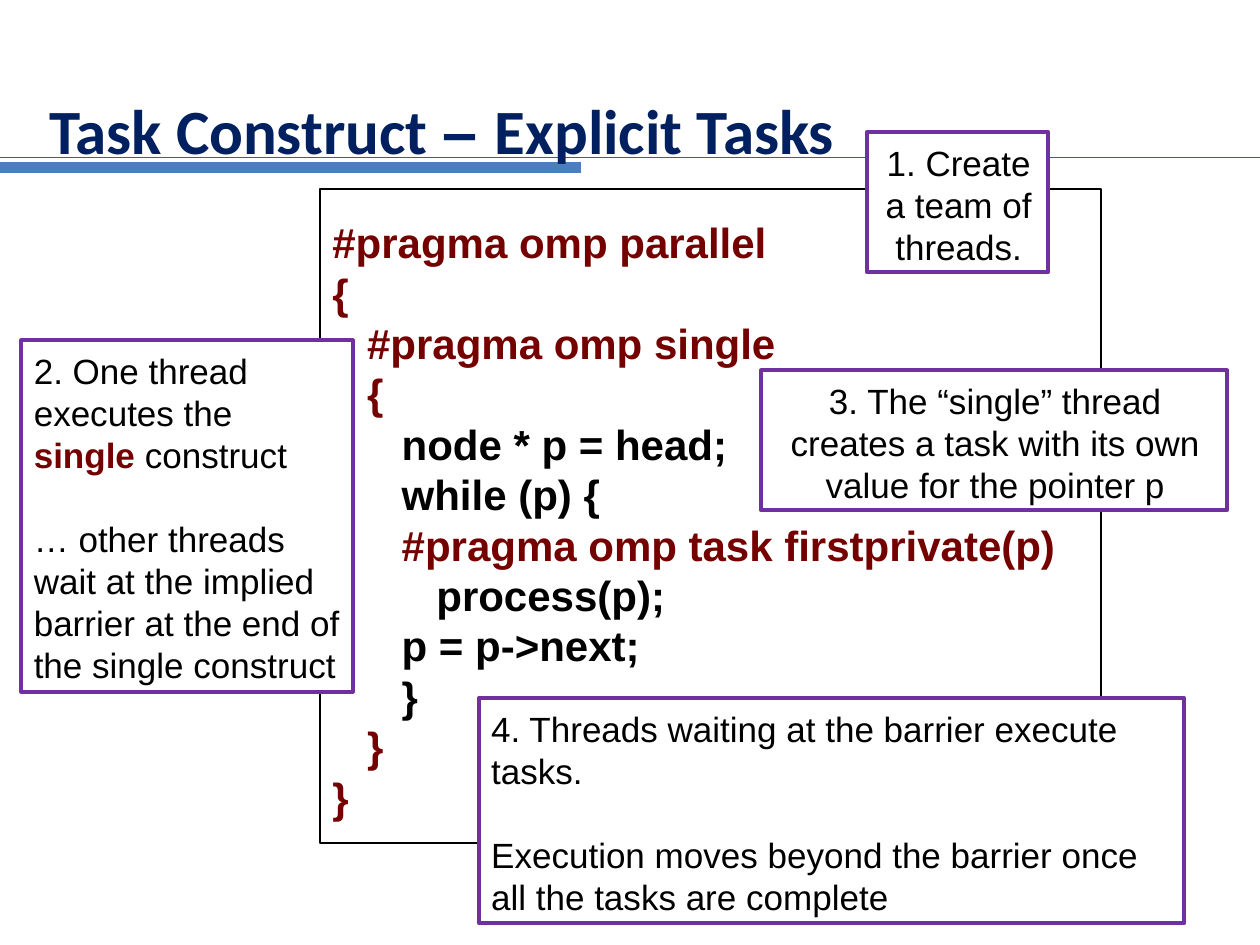
from lxml.etree import SubElement
from pptx import Presentation
from pptx.dml.color import RGBColor as Rgb
from pptx.enum.shapes import MSO_CONNECTOR as Link, MSO_SHAPE as Preset
from pptx.enum.text import MSO_ANCHOR as Anchor, PP_ALIGN as Align
from pptx.oxml.ns import qn
from pptx.util import Inches, Pt

COLORS = {"title": "002060", "rule": "0070C0", "accent": "4B7EBC", "pragma": "740000",
          "ink": "000000", "note": "7030A0", "paper": "FFFFFF"}
WIDTH, HEIGHT = Inches(10), Inches(7.5)
INDENT = 0.275

RULES = [(100, 16.67, "rule", 0.75), (46.1, 17.73, "accent", 6)]
TITLE = [("Task Construct ", "Calibri"), ("– ", "Arial"), ("Explicit Tasks", "Calibri")]
TITLE_AREA = (2.3, 7.07, 95.3, 10.93)

CODE_AREA = (25.4, 20, 62, 69.2)
CODE = [
    (0, "pragma", "#pragma omp parallel"),
    (0, "pragma", "{"),
    (1, "pragma", "#pragma omp single"),
    (1, "pragma", "{"),
    (2, "ink", "node * p = head;"),
    (2, "ink", "while (p) {"),
    (2, "pragma", "#pragma omp task firstprivate(p)"),
    (3, "ink", "process(p);"),
    (2, "ink", "p = p->next;"),
    (2, "ink", "}"),
    (1, "pragma", "}"),
    (0, "pragma", "}"),
]

NOTES = [
    ((68.8, 14, 14.4, 14.8), Align.CENTER, ["1. Create a team of threads."]),
    ((1.7, 36, 26.3, 37.2), Align.LEFT,
     ["2. One thread executes the\n*single* construct",
      "… other threads\nwait at the implied barrier at the end of the single construct"]),
    ((60.4, 39.2, 37, 14.8), Align.CENTER,
     ["3. The “single” thread creates a task with its own value for the pointer p"]),
    ((38, 73.9, 56, 23.8), Align.LEFT,
     ["4. Threads waiting at the barrier execute tasks.",
      "Execution moves beyond the barrier once all the tasks are complete"]),
]


def place(left, top, width, height):
    return [int(WIDTH * left / 100), int(HEIGHT * top / 100),
            int(WIDTH * width / 100), int(HEIGHT * height / 100)]


def write(paragraph, text, size=20, color="ink", bold=False, font="Arial"):
    for number, line in enumerate(text.split("\n")):
        if number:
            paragraph.add_line_break()
        if line:
            run = paragraph.add_run()
            run.text = line
            run.font.size, run.font.bold, run.font.name = Pt(size), bold, font
            run.font.color.rgb = Rgb.from_string(COLORS[color])


def set_frame(frame, left, top, right=0):
    frame.word_wrap = True
    frame.vertical_anchor = Anchor.TOP
    frame.margin_left, frame.margin_top = Inches(left), Inches(top)
    frame.margin_right, frame.margin_bottom = Inches(right), 0
    return frame


def draw_panel(slide, area, line, weight):
    panel = slide.shapes.add_shape(Preset.RECTANGLE, *place(*area))
    panel.shadow.inherit = False
    panel.fill.solid()
    panel.fill.fore_color.rgb = Rgb.from_string(COLORS["paper"])
    panel.line.color.rgb = Rgb.from_string(COLORS[line])
    panel.line.width = Pt(weight)
    return panel


def paragraphs(frame, items, pitch, align=Align.LEFT):
    for number, item in enumerate(items):
        paragraph = frame.add_paragraph() if number else frame.paragraphs[0]
        paragraph.line_spacing = Pt(pitch)
        paragraph.alignment = align
        yield number, paragraph, item


def main():
    deck = Presentation()
    deck.slide_width, deck.slide_height = WIDTH, HEIGHT
    slide = deck.slides.add_slide(deck.slide_layouts[6])

    code = draw_panel(slide, CODE_AREA, "ink", 1)
    code.fill.background()
    for share, level, color, weight in RULES:
        y = int(HEIGHT * level / 100)
        rule = slide.shapes.add_connector(Link.STRAIGHT, 0, y, int(WIDTH * share / 100), y)
        rule.line.color.rgb = Rgb.from_string(COLORS[color])
        rule.line.width = Pt(weight)
        SubElement(rule.element.spPr, qn("a:effectLst"))

    heading = slide.shapes.add_textbox(*place(*TITLE_AREA))
    heading_line = set_frame(heading.text_frame, 0.16, 0.2).paragraphs[0]
    for words, font in TITLE:
        write(heading_line, words, size=36, color="title", bold=True, font=font)

    frame = set_frame(code.text_frame, 0.1, 0.22)
    for _, paragraph, (depth, color, words) in paragraphs(frame, CODE, 28.8):
        paragraph._p.get_or_add_pPr().set("marL", str(Inches(INDENT * depth)))
        write(paragraph, words, size=24, color=color, bold=True)

    for area, align, blocks in NOTES:
        note = draw_panel(slide, area, "note", 2.25)
        frame = set_frame(note.text_frame, 0.1, 0.07, 0.08)
        for number, paragraph, words in paragraphs(frame, blocks, 24, align):
            if number:
                paragraph.space_before = Pt(24)
            for part, piece in enumerate(words.split("*")):
                keyword = part % 2 == 1
                write(paragraph, piece, color="pragma" if keyword else "ink", bold=keyword)

    deck.save("out.pptx")


if __name__ == "__main__":
    main()
